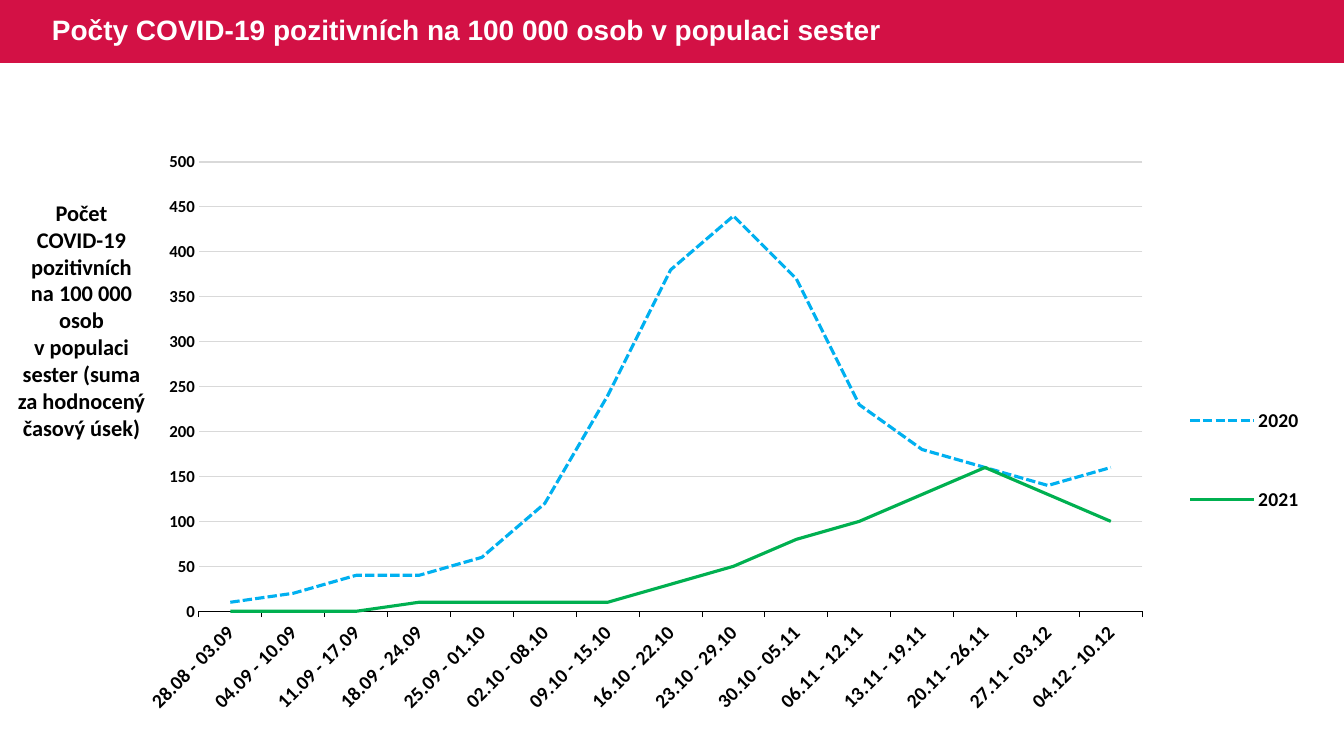
"""Build the slide on weekly COVID-19 counts among nurses."""
from lxml import etree
from pptx import Presentation, util as u
from pptx.chart.data import CategoryChartData
from pptx.dml.color import RGBColor
from pptx.enum import chart as ch, dml, shapes, text
from pptx.oxml import ns

PX = 12192000 / 1344
RED = RGBColor(0xD3, 0x11, 0x45)
WHITE = RGBColor(0xFF, 0xFF, 0xFF)
BLACK = RGBColor(0, 0, 0)
GRAY = RGBColor(0xD9, 0xD9, 0xD9)
BLUE = RGBColor(0x00, 0xB0, 0xF0)
GREEN = RGBColor(0x00, 0xB0, 0x50)


def box(*px):
    return [u.Emu(round(n * PX)) for n in px]


def style(font, name, size, color):
    font.name = name
    font.size = u.Pt(size)
    font.bold = True
    font.color.rgb = color


deck = Presentation()
deck.slide_width, deck.slide_height = box(1344, 756)
slide = deck.slides.add_slide(deck.slide_layouts[6])

band = slide.shapes.add_shape(shapes.MSO_SHAPE.RECTANGLE, *box(0, 0, 1344, 63))
band.shadow.inherit = False
band.fill.solid()
band.fill.fore_color.rgb = RED
band.line.fill.background()

labels = [
    ("Počty COVID-19 pozitivních na 100 000 osob v populaci sester",
     (42, 0, 893, 63), "Arial", 20, WHITE, text.PP_ALIGN.LEFT, text.MSO_ANCHOR.MIDDLE, 0.9),
    ("Počet COVID-19 pozitivních na\u00a0100\u00a0000 osob v\u00a0populaci sester "
     "(suma za hodnocený časový úsek)",
     (5, 194, 153, 228), "Calibri", 16, BLACK, text.PP_ALIGN.CENTER, text.MSO_ANCHOR.TOP, 1.0),
]
for words, place, face, size, color, align, anchor, space in labels:
    frame = slide.shapes.add_textbox(*box(*place)).text_frame
    frame.word_wrap = True
    frame.vertical_anchor = anchor
    para = frame.paragraphs[0]
    para.alignment = align
    para.line_spacing = space
    run = para.add_run()
    run.text = words
    style(run.font, face, size, color)

data = CategoryChartData()
data.categories = [
    "28.08 - 03.09", "04.09 - 10.09", "11.09 - 17.09", "18.09 - 24.09", "25.09 - 01.10",
    "02.10 - 08.10", "09.10 - 15.10", "16.10 - 22.10", "23.10 - 29.10", "30.10 - 05.11",
    "06.11 - 12.11", "13.11 - 19.11", "20.11 - 26.11", "27.11 - 03.12", "04.12 - 10.12",
]
data.add_series("2020", [10, 20, 40, 40, 60, 120, 240, 380, 440, 370, 230, 180, 160, 140, 160])
data.add_series("2021", [0, 0, 0, 10, 10, 10, 10, 30, 50, 80, 100, 130, 160, 130, 100])
chart = slide.shapes.add_chart(
    ch.XL_CHART_TYPE.LINE, *box(146, 152, 1175, 592), data).chart
chart.has_title = False
style(chart.font, "Calibri", 14, BLACK)
chart.plots[0].vary_by_categories = False

dashes = [dml.MSO_LINE.SQUARE_DOT, dml.MSO_LINE.SOLID]
for line, color, dash in zip(chart.plots[0].series, [BLUE, GREEN], dashes):
    line.smooth = False
    line.marker.style = ch.XL_MARKER_STYLE.NONE
    line.format.line.color.rgb = color
    line.format.line.width = u.Pt(2.25)
    line.format.line.dash_style = dash

weeks = chart.category_axis
weeks.has_major_gridlines = False
weeks.major_tick_mark = ch.XL_TICK_MARK.OUTSIDE
weeks.format.line.color.rgb = BLACK
weeks.format.line.width = u.Pt(0.75)
style(weeks.tick_labels.font, "Calibri", 14, BLACK)

count = chart.value_axis
count.minimum_scale = 0
count.maximum_scale = 500
count.major_unit = 50
count.major_tick_mark = ch.XL_TICK_MARK.NONE
count.format.line.fill.background()
count.major_gridlines.format.line.color.rgb = GRAY
count.major_gridlines.format.line.width = u.Pt(0.75)
style(count.tick_labels.font, "Calibri", 12, BLACK)

chart.has_legend = True
chart.legend.position = ch.XL_LEGEND_POSITION.RIGHT
chart.legend.include_in_layout = False
style(chart.legend.font, "Calibri", 14, BLACK)

root = chart._chartSpace
root.xpath(".//c:catAx/c:txPr/a:bodyPr")[0].set("rot", "-2700000")
layouts = [
    ("plotArea", 0, "inner", (0.045, 0.017, 0.803, 0.759)),
    ("legend", 1, None, (0.88, 0.34, 0.11, 0.36)),
]
for tag, spot, target, sizes in layouts:
    part = root.xpath(f".//c:{tag}")[0]
    for old in part.xpath("./c:layout"):
        part.remove(old)
    layout = etree.Element(ns.qn("c:layout"))
    manual = etree.SubElement(layout, ns.qn("c:manualLayout"))
    rules = [("layoutTarget", target)] if target else []
    rules += [("xMode", "edge"), ("yMode", "edge")]
    rules += zip("xywh", sizes)
    for key, val in rules:
        etree.SubElement(manual, ns.qn(f"c:{key}")).set("val", str(val))
    part.insert(spot, layout)

deck.save("out.pptx")
